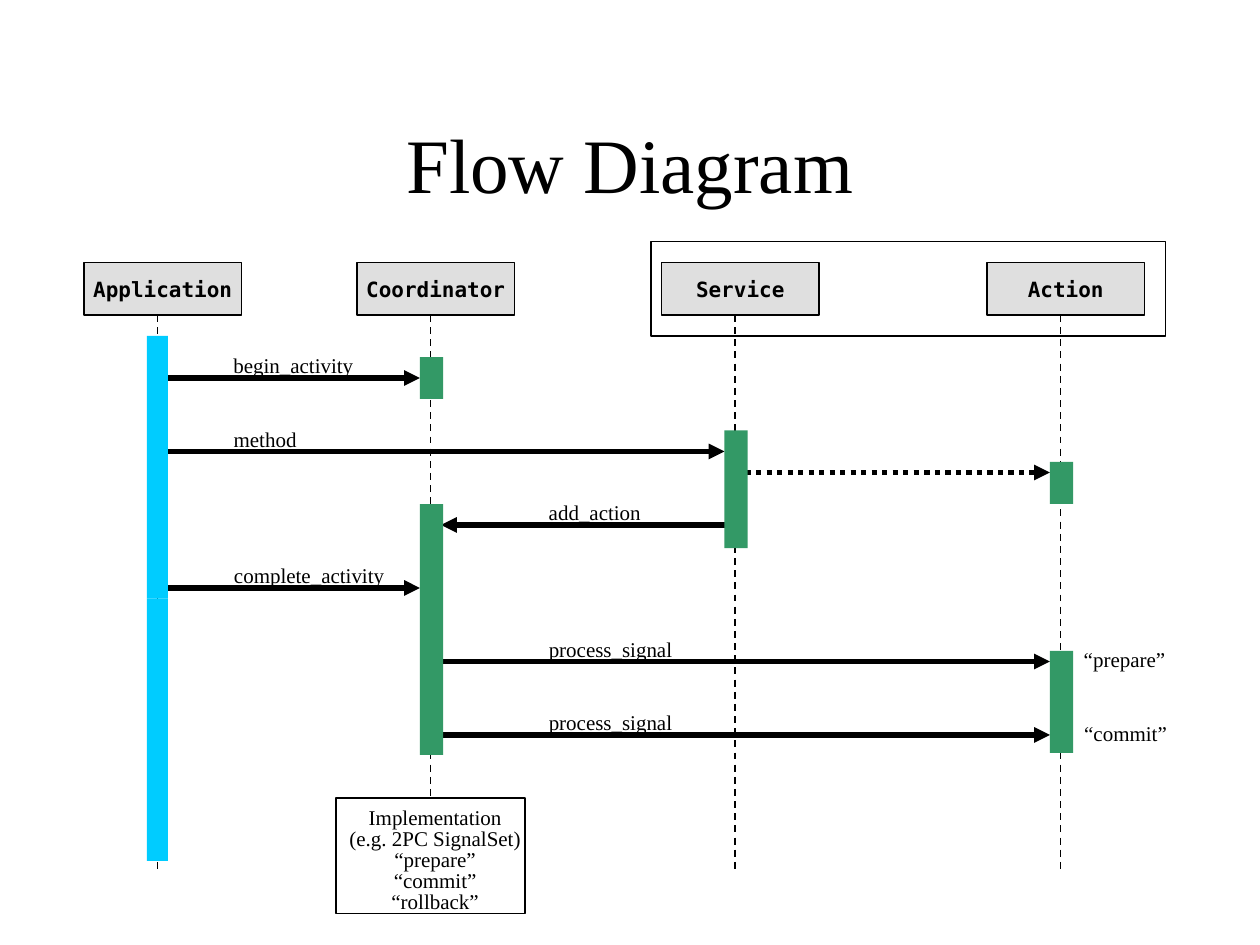
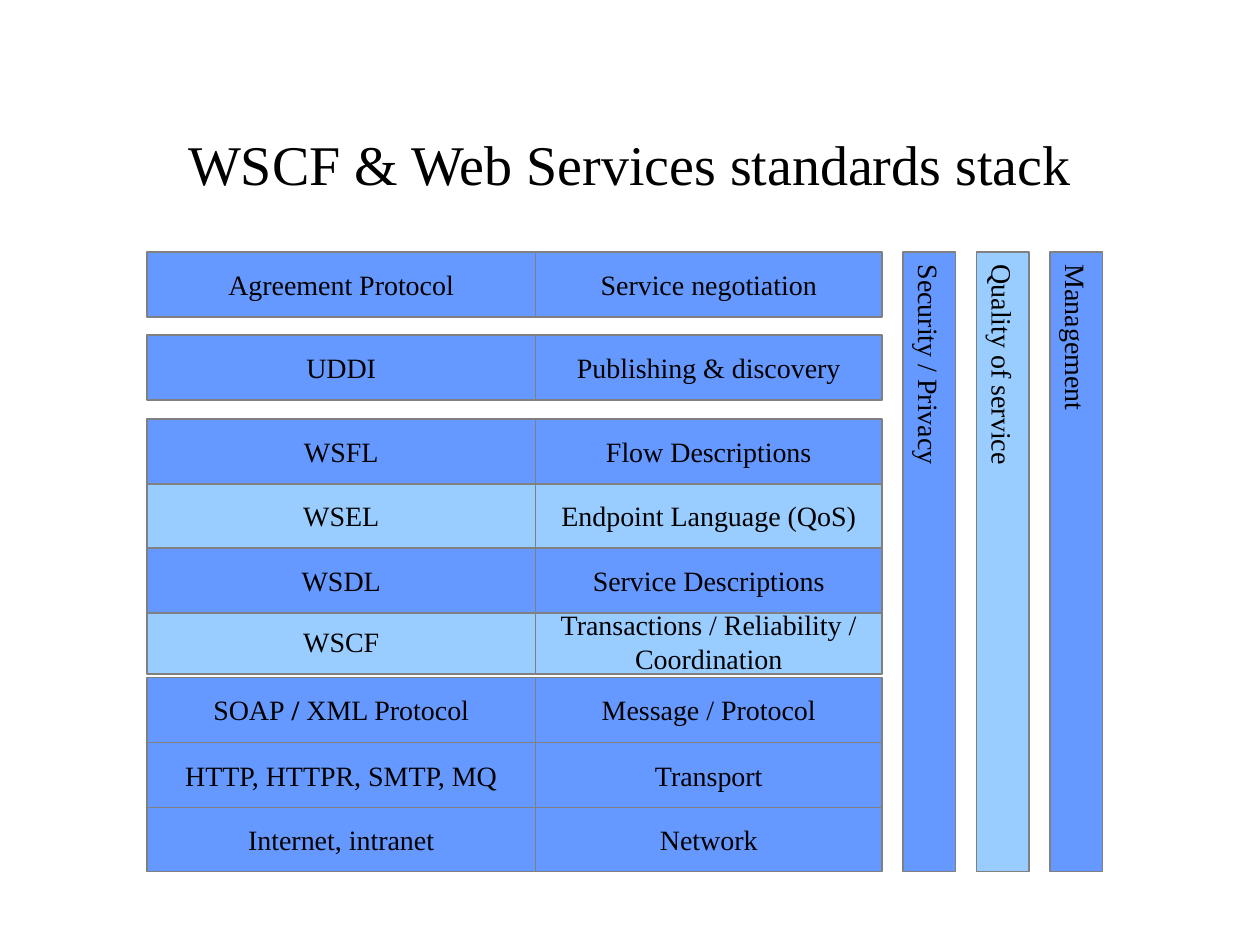
import pptx
import pptx.dml.color
import pptx.enum.dml
import pptx.enum.shapes
import pptx.enum.text
import pptx.oxml.ns
import pptx.util
from lxml import etree

PX = 7620  # EMU in one px, at 120 px to the inch
SERIF, MONO = "Times New Roman", "DejaVu Sans Mono"
BLACK, WHITE, GREY, SILVER = "000000", "FFFFFF", "808080", "C0C0C0"
CYAN, GREEN, BLUE, PALE_BLUE = "00CCFF", "339966", "6699FF", "99CCFF"
DASH = pptx.enum.dml.MSO_LINE.DASH
DOTTED = pptx.enum.dml.MSO_LINE.ROUND_DOT
TITLE_AREA = (90, 80, 1020, 150)


def colour(hex_string):
    return pptx.dml.color.RGBColor.from_string(hex_string)


def add_box(slide, area, text="", fill=None, line=None, size=12, font=SERIF, bold=False, wrap=True):
    """Add a rectangle with centred text; with no fill and no line it is a plain text box."""
    area = [length * PX for length in area]
    if fill or line:
        box = slide.shapes.add_shape(pptx.enum.shapes.MSO_SHAPE.RECTANGLE, *area)
        box.shadow.inherit = False
    else:
        box = slide.shapes.add_textbox(*area)
    if fill:
        box.fill.solid()
        box.fill.fore_color.rgb = colour(fill)
    else:
        box.fill.background()
    if line:
        box.line.color.rgb = colour(line)
        box.line.width = pptx.util.Pt(0.75)
    else:
        box.line.fill.background()
    frame = box.text_frame
    frame.word_wrap = wrap
    frame.vertical_anchor = pptx.enum.text.MSO_ANCHOR.MIDDLE
    frame.text = text
    for paragraph in frame.paragraphs:
        paragraph.alignment = pptx.enum.text.PP_ALIGN.CENTER
        for run in paragraph.runs:
            run.font.name = font
            run.font.size = pptx.util.Pt(size)
            run.font.bold = bold
            run.font.color.rgb = colour(BLACK)
    return box


deck = pptx.Presentation()
deck.slide_width, deck.slide_height = 1200 * PX, 900 * PX
blank = deck.slide_layouts[6]

# Flow diagram
flow = deck.slides.add_slide(blank)
add_box(flow, TITLE_AREA, "Flow Diagram", size=44)

participants = {"Application": 150, "Coordinator": 410, "Service": 700, "Action": 1010}
lines = [(x, 300, x, 830, 1, DASH) for x in participants.values()]
lines += [
    (160, 360, 400, 360, 3, None),
    (160, 430, 690, 430, 3, None),
    (710, 450, 1000, 450, 3, DOTTED),
    (690, 500, 420, 500, 3, None),
    (160, 560, 400, 560, 3, None),
    (420, 630, 1000, 630, 3, None),
    (420, 700, 1000, 700, 3, None),
]
for x1, y1, x2, y2, weight, dash in lines:
    connector = flow.shapes.add_connector(
        pptx.enum.shapes.MSO_CONNECTOR.STRAIGHT, x1 * PX, y1 * PX, x2 * PX, y2 * PX)
    connector.line.color.rgb = colour(BLACK)
    connector.line.width = pptx.util.Pt(weight)
    if dash:
        connector.line.dash_style = dash
    if y1 == y2:
        outline = connector.line._get_or_add_ln()
        etree.SubElement(outline, pptx.oxml.ns.qn("a:tailEnd"), type="triangle")
    etree.SubElement(connector._element.spPr, pptx.oxml.ns.qn("a:effectLst"))

for name, x in participants.items():
    head = add_box(flow, (x - 70, 250, 150, 50), name, SILVER, BLACK, font=MONO, bold=True, wrap=False)
    head_colour = head.fill._xPr.find(".//" + pptx.oxml.ns.qn("a:srgbClr"))
    etree.SubElement(head_colour, pptx.oxml.ns.qn("a:alpha"), val="50000")
add_box(flow, (620, 230, 490, 90), line=BLACK)

activations = [
    ("Application", 320, 250, 20, CYAN),
    ("Application", 570, 250, 20, CYAN),
    ("Coordinator", 340, 40, 22, GREEN),
    ("Coordinator", 480, 239, 22, GREEN),
    ("Service", 410, 112, 22, GREEN),
    ("Action", 440, 40, 22, GREEN),
    ("Action", 620, 97, 22, GREEN),
]
for name, top, height, width, fill in activations:
    add_box(flow, (participants[name] - 10, top, width, height), fill=fill)

messages = [
    ("begin_activity", 210, 330, 139),
    ("method", 210, 400, 85),
    ("add_action", 510, 470, 113),
    ("complete_activity", 210, 530, 169),
    ("process_signal", 510, 600, 143),
    ("process_signal", 510, 670, 143),
    ("“prepare”", 1018, 610, 106),
    ("“commit”", 1018, 680, 108),
]
for message, left, top, width in messages:
    add_box(flow, (left, top, width, 36), message, wrap=False)

implementation = "Implementation\n(e.g. 2PC SignalSet)\n“prepare”\n“commit”\n“rollback”"
note = add_box(flow, (320, 760, 180, 110), implementation, WHITE, BLACK).text_frame
note.vertical_anchor = pptx.enum.text.MSO_ANCHOR.TOP
note.margin_left, note.margin_top, note.margin_right, note.margin_bottom = 9 * PX, 10 * PX, 0, 0
for paragraph in note.paragraphs:
    paragraph.line_spacing = pptx.util.Pt(12)

# Standards stack
stack = deck.slides.add_slide(blank)
add_box(stack, TITLE_AREA, "WSCF & Web Services standards stack", size=32)

layers = [
    (768, BLUE, "Internet, intranet", "Network"),
    (707, BLUE, "HTTP, HTTPR, SMTP, MQ", "Transport"),
    (645, BLUE, "SOAP / XML Protocol", "Message / Protocol"),
    (580, PALE_BLUE, "WSCF", "Transactions / Reliability / Coordination"),
    (522, BLUE, "WSDL", "Service Descriptions"),
    (460, PALE_BLUE, "WSEL", "Endpoint Language (QoS)"),
    (399, BLUE, "WSFL", "Flow Descriptions"),
    (319, BLUE, "UDDI", "Publishing & discovery"),
    (240, BLUE, "Agreement Protocol", "Service negotiation"),
]
for top, fill, standard, role in layers:
    standard_box = add_box(stack, (140, top, 370, 62), standard, fill, GREY, size=16)
    add_box(stack, (510, top, 330, 62), role, fill, GREY, size=16)
    if " / " in standard:
        paragraph = standard_box.text_frame.paragraphs[0]
        before, after = standard.split(" / ")
        paragraph.runs[0].text = before
        for part in (" / ", after):
            run = paragraph.add_run()
            run.text = part
            run.font.name = SERIF
            run.font.size = pptx.util.Pt(16)
            run.font.bold = part == " / "
            run.font.color.rgb = colour(BLACK)

pillars = [("Security / Privacy", BLUE), ("Quality of service", PALE_BLUE), ("Management", BLUE)]
for i, (concern, fill) in enumerate(pillars):
    pillar = add_box(stack, (860 + 70 * i, 240, 50, 590), concern, fill, GREY, size=16)
    frame = pillar.text_frame
    frame.margin_left = frame.margin_right = 6 * PX
    frame.margin_top = frame.margin_bottom = 12 * PX
    frame._txBody.bodyPr.set("vert", "eaVert")

deck.save("out.pptx")
